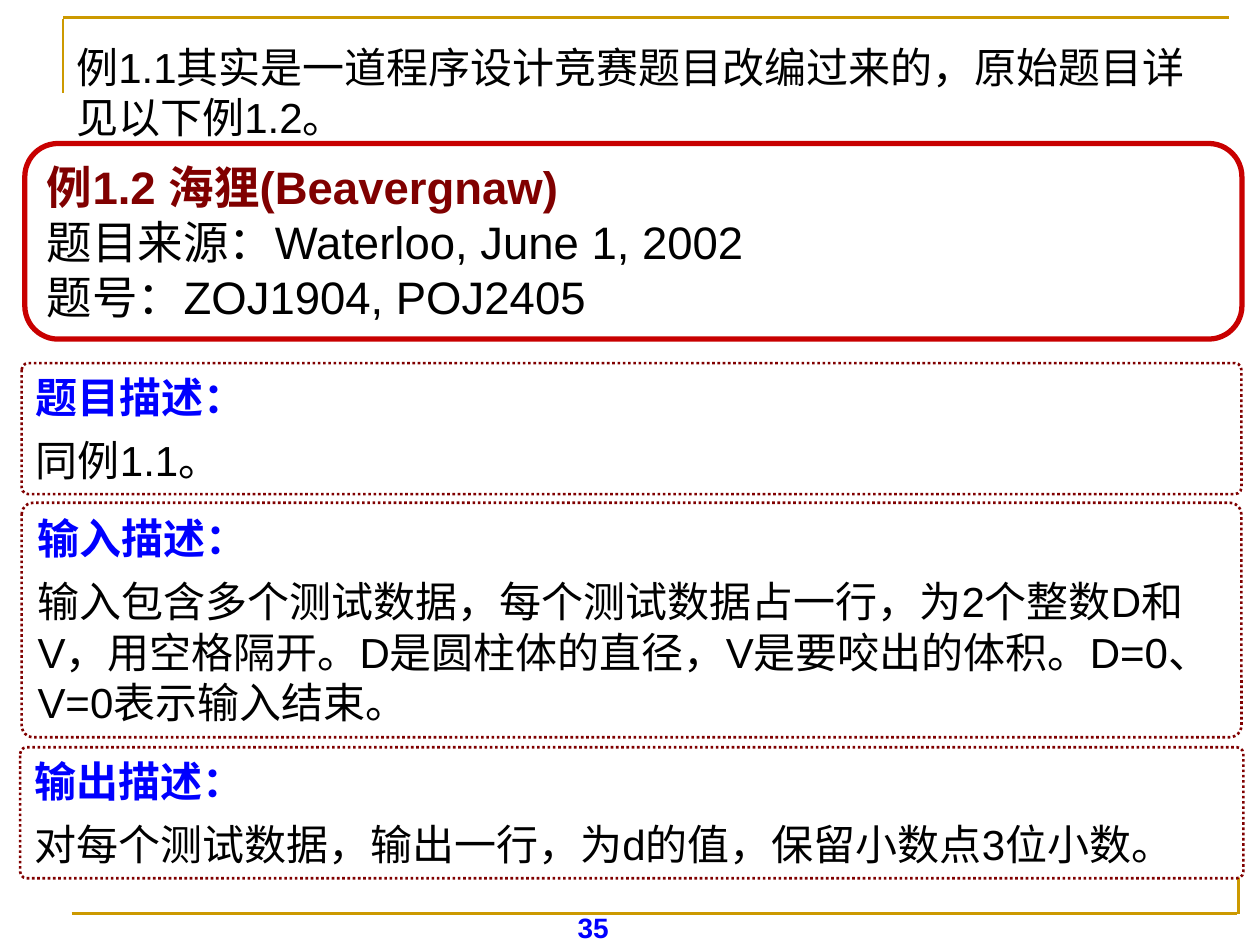
from lxml.etree import SubElement
from pptx import Presentation
from pptx.dml.color import RGBColor
from pptx.enum.dml import MSO_LINE_DASH_STYLE as DASH
from pptx.enum.shapes import MSO_CONNECTOR, MSO_SHAPE
from pptx.enum.text import MSO_ANCHOR, PP_ALIGN
from pptx.oxml.ns import qn
from pptx.util import Pt

FONT = "Arial"
BLACK, BLUE, MAROON, RED, GOLD = "000000", "0000FF", "800000", "C80000", "CC9900"

# Frame lines: x1, y1, x2, y2
FRAME_LINES = [
    (36, 10.8, 36, 53.3),
    (36, 10.1, 702, 10.1),
    (707.8, 480.2, 707.8, 522),
    (41, 522, 707, 522),
]
PAGE_NUMBER = "35"
INTRO = "例1.1其实是一道程序设计竞赛题目改编过来的，原始题目详见以下例1.2。"
PROBLEM = [
    "例1.2 海狸(Beavergnaw)",
    "题目来源：Waterloo, June 1, 2002",
    "题号：ZOJ1904, POJ2405",
]
# Sections: left, top, width, height, paragraphs
SECTIONS = [
    (11.5, 427, 699, 74.9,
     ["输出描述：", "对每个测试数据，输出一行，为d的值，保留小数点3位小数。"]),
    (12.4, 287.3, 697, 134,
     ["输入描述：",
      "输入包含多个测试数据，每个测试数据占一行，为2个整数D和V，用空格隔开。"
      "D是圆柱体的直径，V是要咬出的体积。D=0、V=0表示输入结束。"]),
    (12.4, 207.5, 697, 74.9, ["题目描述：", "同例1.1。"]),
]


def rgb(color):
    return RGBColor.from_string(color)


def write(shape, texts, size, heading_color, bold=True, space_after=0,
          align=PP_ALIGN.LEFT):
    """Fill a shape with paragraphs; the first is the heading, the rest plain black."""
    frame = shape.text_frame
    frame.word_wrap = True
    frame.vertical_anchor = MSO_ANCHOR.TOP
    frame.text = "\n".join(texts)
    for index, paragraph in enumerate(frame.paragraphs):
        paragraph.alignment = align
        paragraph.space_after = Pt(space_after)
        font = paragraph.runs[0].font
        font.name, font.size = FONT, Pt(size)
        font.bold = bold and index == 0
        font.color.rgb = rgb(heading_color if index == 0 else BLACK)


def add_line(slide, ends):
    line = slide.shapes.add_connector(MSO_CONNECTOR.STRAIGHT, *map(Pt, ends))
    line.line.color.rgb = rgb(GOLD)
    line.line.width = Pt(1.5)
    SubElement(line._element.spPr, qn("a:effectLst"))


def add_box(slide, place, corner, color, width):
    box = slide.shapes.add_shape(MSO_SHAPE.ROUNDED_RECTANGLE, *map(Pt, place))
    box.adjustments[0] = corner
    box.shadow.inherit = False
    box.fill.solid()
    box.fill.fore_color.rgb = rgb("FFFFFF")
    box.line.color.rgb = rgb(color)
    box.line.width = Pt(width)
    return box


def add_text(slide, place):
    return slide.shapes.add_textbox(*map(Pt, place))


def main():
    presentation = Presentation()
    presentation.slide_width, presentation.slide_height = Pt(720), Pt(540)
    slide = presentation.slides.add_slide(presentation.slide_layouts[6])

    for ends in FRAME_LINES:
        add_line(slide, ends)
    write(add_text(slide, (264, 517, 150, 18)), [PAGE_NUMBER], 16, BLUE,
          align=PP_ALIGN.CENTER)

    for *place, texts in SECTIONS:
        section = add_box(slide, place, 0.05, MAROON, 1.5)
        section.line.dash_style = DASH.ROUND_DOT
        write(section, texts, 24, BLUE, space_after=7.5)

    problem = add_box(slide, (14.2, 82, 695.5, 111.8), 0.17, RED, 3)
    write(problem, PROBLEM, 26, MAROON)
    write(add_text(slide, (36.5, 20, 666, 61)), [INTRO], 24, BLACK, bold=False)

    presentation.save("out.pptx")


if __name__ == "__main__":
    main()
